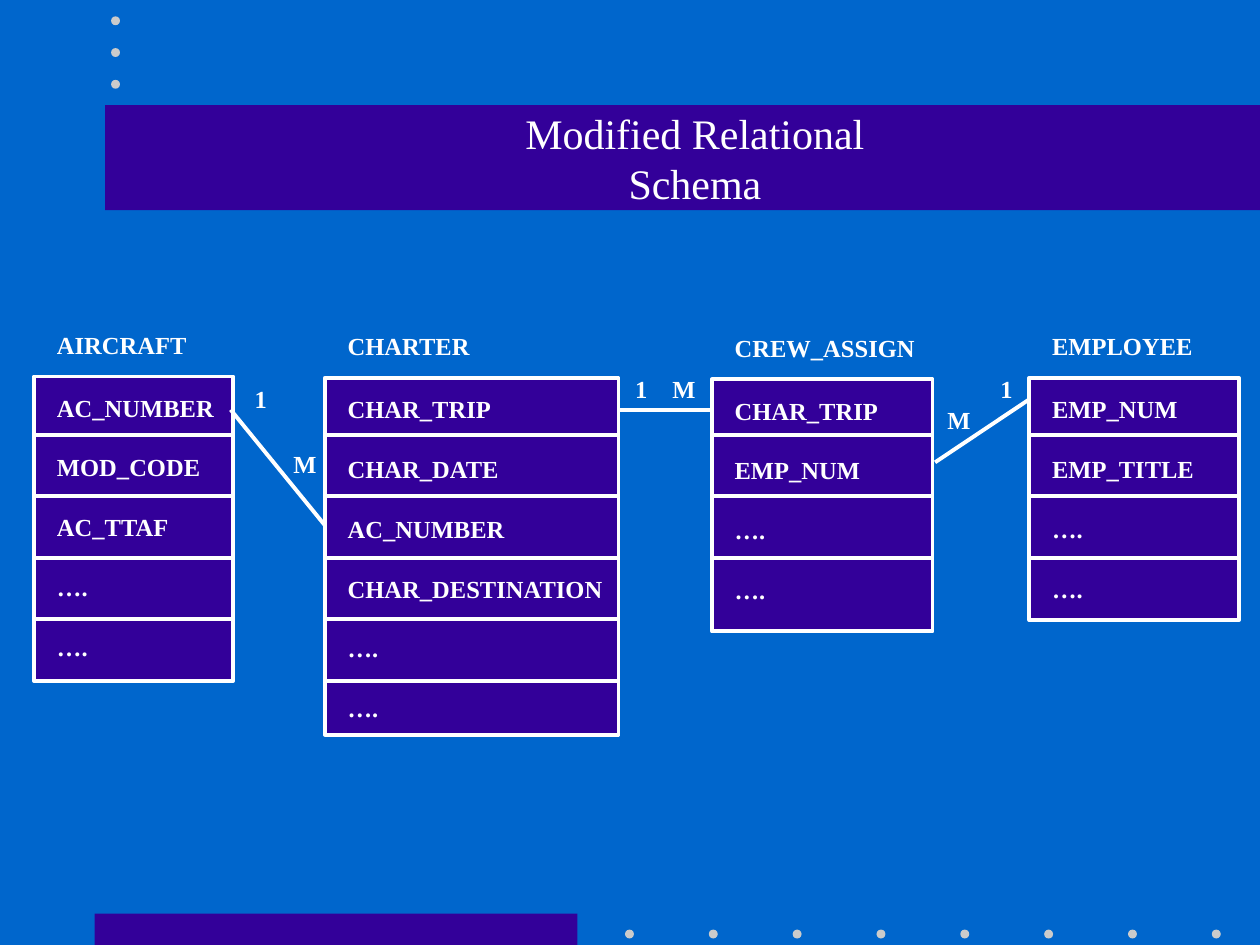
from pptx import Presentation
from pptx.dml.color import RGBColor
from pptx.enum.shapes import MSO_CONNECTOR as Connector, MSO_SHAPE as Shape
from pptx.enum.text import MSO_ANCHOR as Anchor, PP_ALIGN as Align
from pptx.oxml.xmlchemy import OxmlElement
from pptx.util import Cm, Pt

BLUE = RGBColor(0x00, 0x66, 0xCC)
PURPLE = RGBColor(0x33, 0x00, 0x99)
GREY = RGBColor(0xCB, 0xCB, 0xCB)
WHITE = RGBColor(0xFF, 0xFF, 0xFF)
FONT = "Times New Roman"
LINE_WIDTH = Pt(2.25)
FIRST_RULE, ROW_HEIGHT = 8.76, 1.24

ENTITIES = [
    ("EMPLOYEE", (20.75, 7.62, 4.23, 4.88), ["EMP_NUM", "EMP_TITLE", "….", "…."]),
    ("CREW_ASSIGN", (14.35, 7.65, 4.45, 5.08), ["CHAR_TRIP", "EMP_NUM", "….", "…."]),
    ("CHARTER", (6.55, 7.62, 5.92, 7.19),
     ["CHAR_TRIP", "CHAR_DATE", "AC_NUMBER", "CHAR_DESTINATION", "….", "…."]),
    ("AIRCRAFT", (0.69, 7.59, 4.01, 6.14),
     ["AC_NUMBER", "MOD_CODE", "AC_TTAF", "….", "…."]),
]
LINKS = [
    (4.65, 8.26, 6.55, 10.59),
    (12.5, 8.26, 14.4, 8.26),
    (18.85, 9.32, 20.75, 8.05),
]
CARDINALITIES = [
    ("1", 5.26, 8.05), ("M", 6.15, 9.35),
    ("1", 12.93, 7.85), ("M", 13.79, 7.85),
    ("1", 20.29, 7.85), ("M", 19.33, 8.48),
]


def add_solid(page, kind, left, top, width, height, color):
    """Add a filled shape without outline or shadow."""
    solid = page.shapes.add_shape(kind, Cm(left), Cm(top), Cm(width), Cm(height))
    solid.shadow.inherit = False
    solid.fill.solid()
    solid.fill.fore_color.rgb = color
    solid.line.fill.background()
    return solid


def add_line(page, x1, y1, x2, y2):
    """Add a straight white line."""
    line = page.shapes.add_connector(Connector.STRAIGHT, Cm(x1), Cm(y1), Cm(x2), Cm(y2))
    line.line.color.rgb = WHITE
    line.line.width = LINE_WIDTH
    line._element.spPr.append(OxmlElement("a:effectLst"))


def style(para, size, bold, align):
    """Format all the text of a paragraph."""
    para.alignment = align
    para.font.name = FONT
    para.font.size = Pt(size)
    para.font.bold = bold
    para.font.color.rgb = WHITE


def add_text(page, lines, left, top, width, height, inset=0.25, align=Align.LEFT, gap=0):
    """Add a text box with one bold paragraph per line."""
    box = page.shapes.add_textbox(Cm(left), Cm(top), Cm(width), Cm(height))
    frame = box.text_frame
    frame.word_wrap = True
    frame.margin_left, frame.margin_right = Cm(inset), 0
    frame.text = "\n".join(lines)
    for para in frame.paragraphs:
        style(para, 14, True, align)
        para.space_after = Pt(gap)


def add_entity(page, name, bounds, fields):
    """Add an entity box with its name, fields and row rules."""
    left, top, width, height = bounds
    box = add_solid(page, Shape.RECTANGLE, *bounds, PURPLE)
    box.line.color.rgb = WHITE
    box.line.width = LINE_WIDTH
    text_left, text_width = left + 0.21, width - 0.21
    add_text(page, [name], text_left, top - 1.07, text_width, 0.86)
    add_text(page, fields, text_left, top + 0.2, text_width, height - 0.2, gap=17.4)
    for row in range(len(fields) - 1):
        y = FIRST_RULE + row * ROW_HEIGHT
        add_line(page, left, y, left + width, y)


def add_backdrop(page):
    """Add the background, the bands and the dots."""
    page.background.fill.solid()
    page.background.fill.fore_color.rgb = BLUE
    add_solid(page, Shape.RECTANGLE, 1.91, 18.42, 9.73, 0.63, PURPLE)
    add_solid(page, Shape.RECTANGLE, 2.12, 2.12, 23.28, 2.12, PURPLE)
    bottom_dots = [(12.6 + 1.69 * i, 18.74) for i in range(8)]
    top_dots = [(2.24, 0.33 + 0.64 * i) for i in range(3)]
    for left, top in bottom_dots + top_dots:
        add_solid(page, Shape.OVAL, left, top, 0.18, 0.18, GREY)


def set_title(page, text):
    """Fill and place the title in front of its band."""
    title = page.shapes.title
    title.left, title.top, title.width, title.height = Cm(8.89), Cm(2.54), Cm(10.24), Cm(1.27)
    title.text_frame.text = text
    title.text_frame.vertical_anchor = Anchor.MIDDLE
    style(title.text_frame.paragraphs[0], 24, False, Align.CENTER)
    title.element.getparent().append(title.element)


def main():
    """Build the schema slide and save the deck."""
    deck = Presentation()
    deck.slide_width, deck.slide_height = Cm(25.4), Cm(19.05)
    page = deck.slides.add_slide(deck.slide_layouts[5])
    add_backdrop(page)
    for name, bounds, fields in ENTITIES:
        add_entity(page, name, bounds, fields)
    for link in LINKS:
        add_line(page, *link)
    for label, x, y in CARDINALITIES:
        add_text(page, [label], x - 0.48, y - 0.43, 0.96, 0.86, inset=0, align=Align.CENTER)
    set_title(page, "Modified Relational Schema")
    deck.save("out.pptx")


if __name__ == "__main__":
    main()
